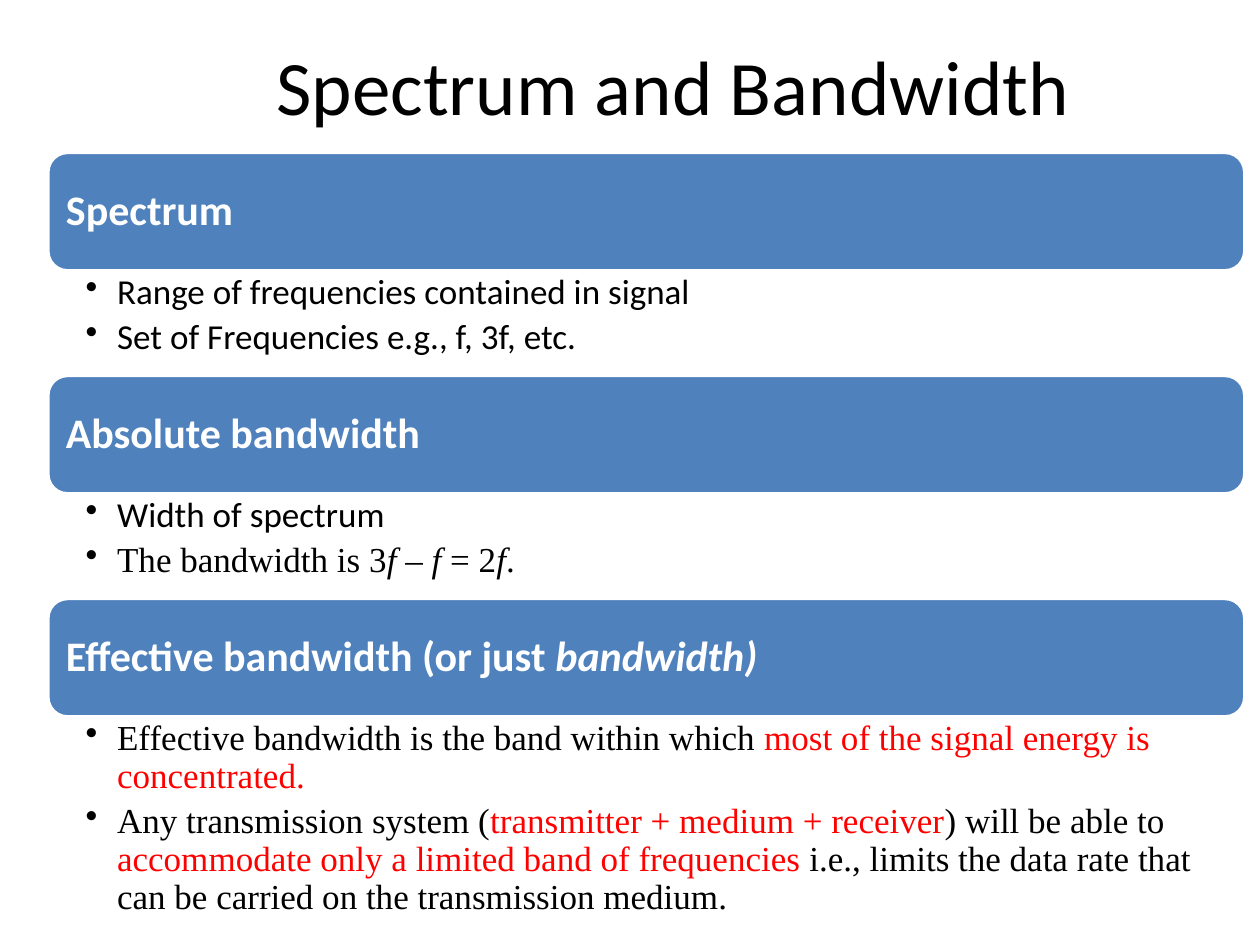
"""Build the slide that defines spectrum and bandwidth."""
from lxml import etree
from pptx import Presentation
from pptx.dml.color import RGBColor
from pptx.enum.shapes import MSO_SHAPE
from pptx.enum.text import MSO_ANCHOR, PP_ALIGN
from pptx.oxml.ns import qn
from pptx.util import Inches, Pt

BLACK = RGBColor(0x00, 0x00, 0x00)
WHITE = RGBColor(0xFF, 0xFF, 0xFF)
BLUE = RGBColor(0x4F, 0x81, 0xBD)
RED = RGBColor(0xFF, 0x00, 0x00)
SANS = "Calibri"
SERIF = "Times New Roman"
ROUNDED = MSO_SHAPE.ROUNDED_RECTANGLE
MIDDLE, TOP = MSO_ANCHOR.MIDDLE, MSO_ANCHOR.TOP
LEFT, CENTER = PP_ALIGN.LEFT, PP_ALIGN.CENTER

BAND_LEFT, BAND_WIDTH = 0.38, 9.5
BAR_TOP, BAR_HEIGHT = 1.21, 0.94

PLAIN = {"font": SANS}
ROMAN = {"font": SERIF}
ITALIC = {"font": SERIF, "italic": True}
ALERT = {"font": SERIF, "color": RED}
HEADING = {"size": 24, "color": WHITE, "bold": True}
HEADING_ITALIC = {**HEADING, "italic": True}

SECTIONS = [
    ([("Spectrum", HEADING)], 0.83, [
        [("Range of frequencies contained in signal", PLAIN)],
        [("Set of Frequencies e.g., f, 3f, etc.", PLAIN)],
    ]),
    ([("Absolute bandwidth", HEADING)], 0.83, [
        [("Width of spectrum", PLAIN)],
        [("The bandwidth is 3", ROMAN), ("f", ITALIC), (" – ", ROMAN),
         ("f", ITALIC), (" = 2", ROMAN), ("f", ITALIC), (".", ROMAN)],
    ]),
    ([("Effective bandwidth (or just ", HEADING), ("bandwidth)", HEADING_ITALIC)], 1.59, [
        [("Effective bandwidth is the band within which ", ROMAN),
         ("most of the signal energy is concentrated.", ALERT)],
        [("Any transmission system (", ROMAN),
         ("transmitter + medium + receiver", ALERT),
         (") will be able to ", ROMAN),
         ("accommodate only a limited band of frequencies ", ALERT),
         ("i.e., limits the data rate that can be carried on the transmission medium.", ROMAN)],
    ]),
]


class SlideWriter:
    """Hold the text style and the current slide."""

    def __init__(self, slide):
        self.slide = slide
        self.font, self.size, self.color = SANS, 20, BLACK

    def frame(self, shape, anchor, left, top, right, bottom):
        """Set wrapping, anchor and insets of a shape's text."""
        frame = shape.text_frame
        frame.word_wrap = True
        frame.vertical_anchor = anchor
        frame.margin_left, frame.margin_top = Inches(left), Inches(top)
        frame.margin_right, frame.margin_bottom = Inches(right), Inches(bottom)
        return frame

    def spans(self, para, parts):
        """Add styled runs to a paragraph."""
        for text, style in parts:
            span = para.add_run()
            span.text = text
            span.font.name = style.get("font", self.font)
            span.font.size = Pt(style.get("size", self.size))
            span.font.bold = style.get("bold", False)
            span.font.italic = style.get("italic", False)
            span.font.color.rgb = style.get("color", self.color)

    def title(self, text):
        """Add the centred slide title."""
        box = self.slide.shapes.add_textbox(Inches(1.25), Inches(0.17), Inches(8.19), Inches(1))
        para = self.frame(box, MIDDLE, 0.1, 0.05, 0.1, 0.05).paragraphs[0]
        para.alignment = CENTER
        self.spans(para, [(text, {"size": 44})])

    def bar(self, top, parts):
        """Add a rounded heading bar."""
        bar = self.slide.shapes.add_shape(
            ROUNDED, Inches(BAND_LEFT), Inches(top), Inches(BAND_WIDTH), Inches(BAR_HEIGHT))
        bar.shadow.inherit = False
        bar.fill.solid()
        bar.fill.fore_color.rgb = BLUE
        bar.line.color.rgb = WHITE
        bar.line.width = Pt(2)
        para = self.frame(bar, MIDDLE, 0.1, 0.1, 0.1, 0.1).paragraphs[0]
        para.alignment = LEFT
        para.line_spacing = 0.9
        self.spans(para, parts)

    def bullets(self, top, height, items):
        """Add a bulleted list."""
        box = self.slide.shapes.add_textbox(
            Inches(BAND_LEFT), Inches(top), Inches(BAND_WIDTH), Inches(height))
        frame = self.frame(box, TOP, 0.3, 0.03, 0.16, 0.03)
        for index, parts in enumerate(items):
            para = frame.add_paragraph() if index else frame.paragraphs[0]
            para.level = 1
            para.line_spacing = 0.9
            para.space_after = Pt(4)
            properties = para._p.get_or_add_pPr()
            properties.set("marL", str(Inches(0.25)))
            properties.set("indent", str(Inches(-0.25)))
            etree.SubElement(properties, qn("a:buChar")).set("char", "•")
            self.spans(para, parts)


def main():
    """Create and save the deck."""
    deck = Presentation()
    deck.slide_width, deck.slide_height = Inches(10), Inches(7.5)
    page = SlideWriter(deck.slides.add_slide(deck.slide_layouts[6]))
    page.title("Spectrum and Bandwidth")
    top = BAR_TOP
    for heading, height, items in SECTIONS:
        page.bar(top, heading)
        page.bullets(top + BAR_HEIGHT, height, items)
        top += BAR_HEIGHT + height
    deck.save("out.pptx")


if __name__ == "__main__":
    main()
